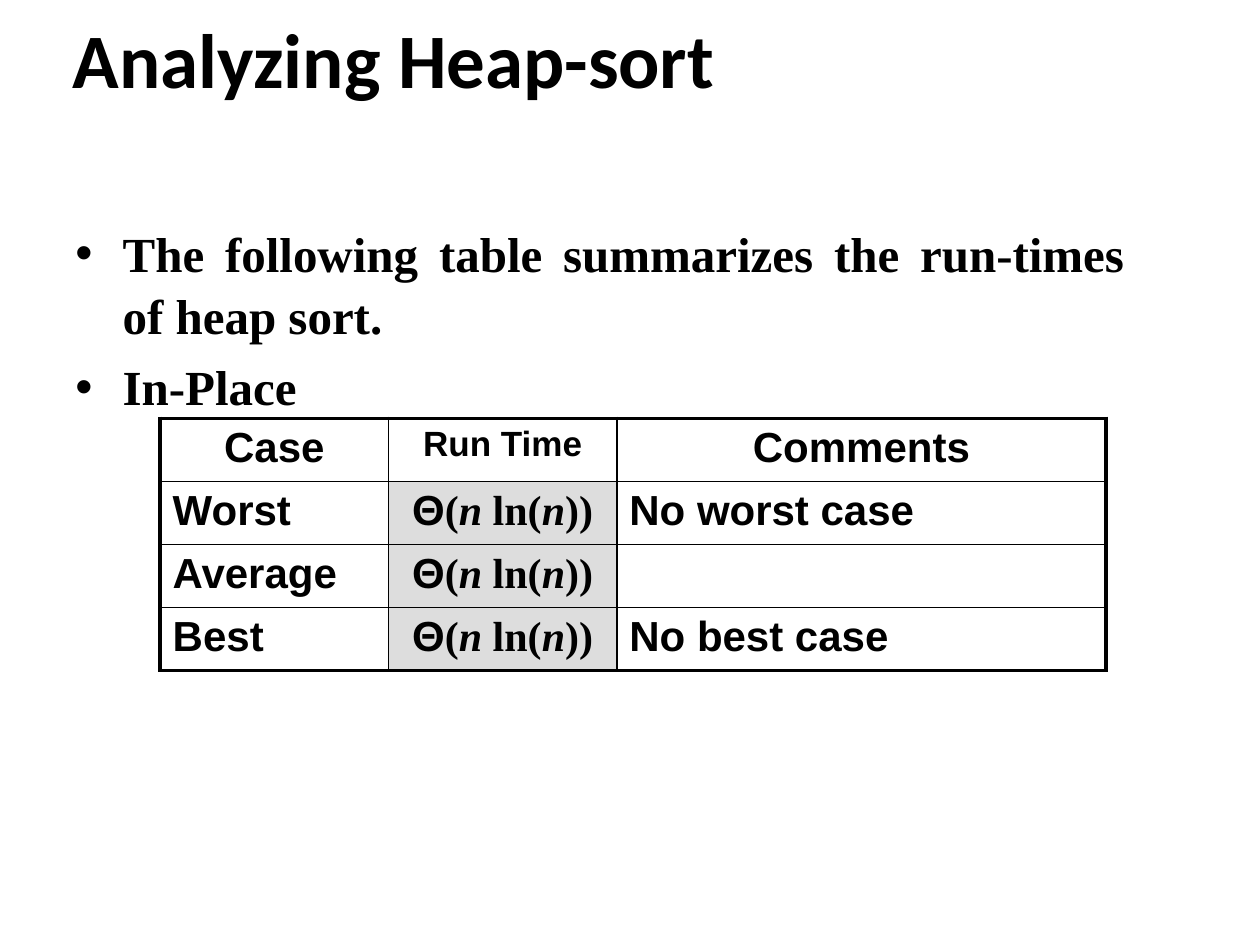
from lxml import etree
from pptx import Presentation
from pptx.dml.color import RGBColor
from pptx.enum.text import MSO_ANCHOR, PP_ALIGN
from pptx.oxml.ns import qn
from pptx.util import Pt

LEFT, CENTER, JUSTIFY = PP_ALIGN.LEFT, PP_ALIGN.CENTER, PP_ALIGN.JUSTIFY
MIDDLE, TOP = MSO_ANCHOR.MIDDLE, MSO_ANCHOR.TOP

BLACK, WHITE, GREY = "000000", "FFFFFF", "DDDDDD"
SANS, SERIF = "Arial", "Times New Roman"
THICK, THIN = 2.25, 1
BULLET_INDENT = 27

TITLE = "Analyzing Heap-sort"
BULLETS = [
    "The following table summarizes the run-times of heap sort.",
    "In-Place",
]
# Each span of the formula: text, font, italic
RUN_TIME = [
    ("Θ", SANS, False),
    ("(", SERIF, False),
    ("n", SERIF, True),
    (" ln(", SERIF, False),
    ("n", SERIF, True),
    ("))", SERIF, False),
]
ROWS = [
    ("Case", "Run Time", "Comments"),
    ("Worst", RUN_TIME, "No worst case"),
    ("Average", RUN_TIME, ""),
    ("Best", RUN_TIME, "No best case"),
]
COLUMN_WIDTHS = [130.5, 130.5, 279.5]
ROW_HEIGHT = 34


def color(hex_string):
    return RGBColor.from_string(hex_string)


def style(font, name, size):
    font.name = name
    font.size = Pt(size)
    font.bold = True
    font.color.rgb = color(BLACK)


def add_box(page, left, top, width, height, anchor):
    box = page.shapes.add_textbox(Pt(left), Pt(top), Pt(width), Pt(height))
    frame = box.text_frame
    frame.word_wrap = True
    frame.vertical_anchor = anchor
    return frame


def add_bullet(para):
    properties = para._p.get_or_add_pPr()
    properties.set("marL", str(Pt(BULLET_INDENT)))
    properties.set("indent", str(-Pt(BULLET_INDENT)))
    etree.SubElement(properties, qn("a:buFont")).set("typeface", SANS)
    etree.SubElement(properties, qn("a:buChar")).set("char", "•")


def set_borders(cell, widths):
    """Draw the borders; widths are in the order left, right, top, bottom."""
    properties = cell._tc.get_or_add_tcPr()
    for position, (side, width) in enumerate(zip("LRTB", widths)):
        line = etree.Element(qn(f"a:ln{side}"), w=str(Pt(width)))
        fill = etree.SubElement(line, qn("a:solidFill"))
        etree.SubElement(fill, qn("a:srgbClr")).set("val", BLACK)
        properties.insert(position, line)


def fill_cell(cell, content, is_header, is_run_time):
    para = cell.text_frame.paragraphs[0]
    para.alignment = CENTER if is_header or is_run_time else LEFT
    size = 20 if is_header and is_run_time else 24
    if isinstance(content, str):
        para.text = content
        style(para.font, SANS, size)
    else:
        for text, font_name, italic in content:
            span = para.add_run()
            span.text = text
            style(span.font, font_name, size)
            span.font.italic = italic
    cell.fill.solid()
    shaded = is_run_time and not is_header
    cell.fill.fore_color.rgb = color(GREY if shaded else WHITE)


def add_run_time_table(page):
    row_count, column_count = len(ROWS), len(COLUMN_WIDTHS)
    table = page.shapes.add_table(
        row_count, column_count, Pt(91.5), Pt(239),
        Pt(sum(COLUMN_WIDTHS)), Pt(ROW_HEIGHT * row_count),
    ).table
    for column, width in zip(table.columns, COLUMN_WIDTHS):
        column.width = Pt(width)
    for r, row in enumerate(ROWS):
        table.rows[r].height = Pt(ROW_HEIGHT)
        for c, content in enumerate(row):
            cell = table.cell(r, c)
            fill_cell(cell, content, is_header=r == 0, is_run_time=c == 1)
            outer = (c == 0, c == column_count - 1, r == 0, r == row_count - 1)
            set_borders(cell, [THICK if edge else THIN for edge in outer])


def main():
    deck = Presentation()
    deck.slide_width, deck.slide_height = Pt(720), Pt(540)
    page = deck.slides.add_slide(deck.slide_layouts[6])

    title = add_box(page, 34.5, 6, 661.5, 54, MIDDLE).paragraphs[0]
    title.text = TITLE
    style(title.font, "Calibri", 44)

    body = add_box(page, 36, 122.5, 613.5, 396.5, TOP)
    for index, text in enumerate(BULLETS):
        para = body.add_paragraph() if index else body.paragraphs[0]
        para.text = text
        para.alignment = JUSTIFY
        para.line_spacing = 1.05
        para.space_before = Pt(5.6)
        add_bullet(para)
        style(para.font, SERIF, 28)

    add_run_time_table(page)
    deck.save("out.pptx")


if __name__ == "__main__":
    main()
